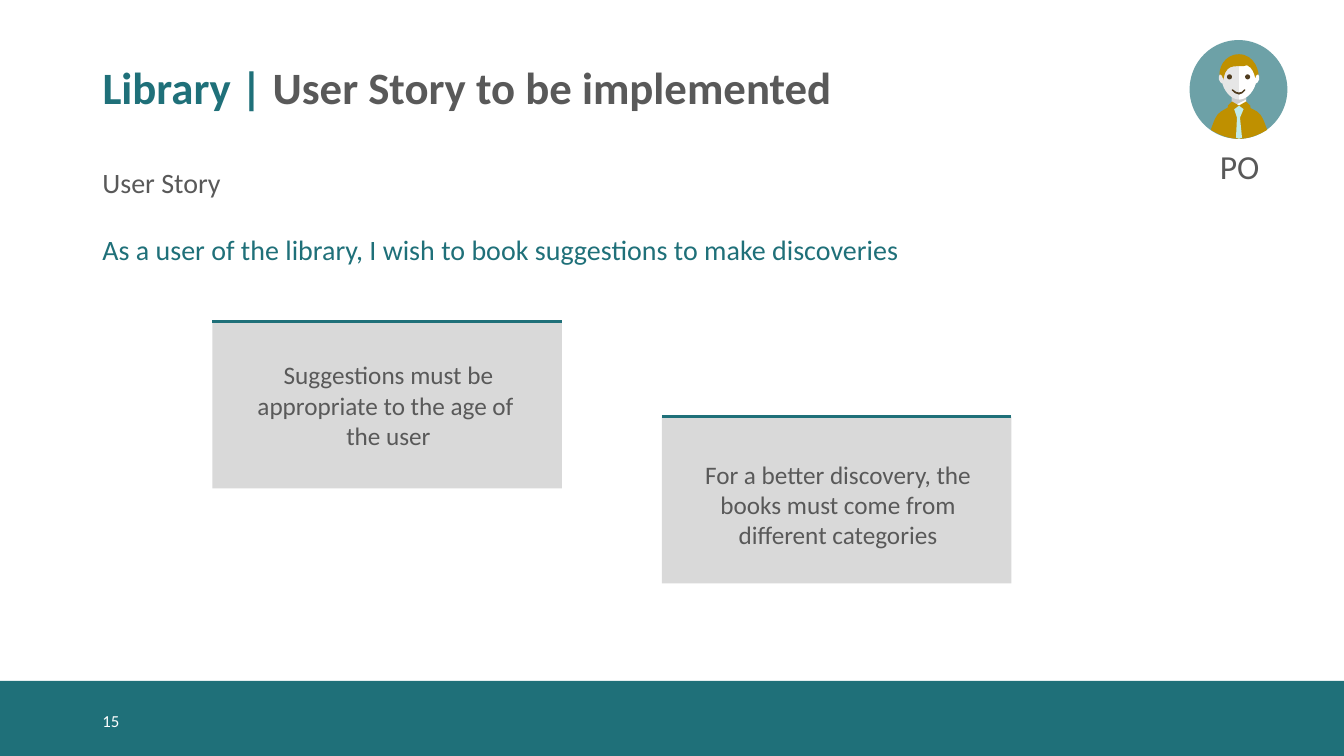
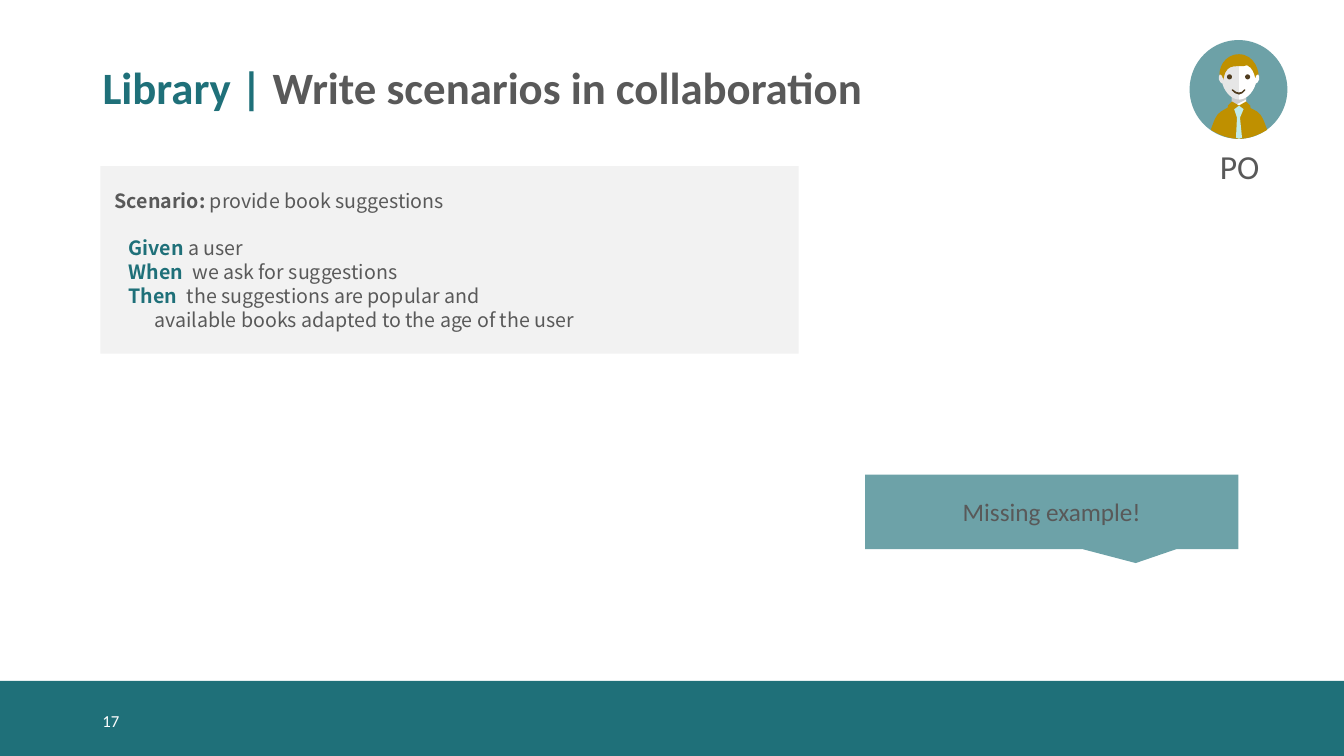
import pptx
import pptx.dml.color
import pptx.enum.shapes
import pptx.enum.text
import pptx.oxml
import pptx.oxml.ns
import pptx.util

Cm, Pt, qn = pptx.util.Cm, pptx.util.Pt, pptx.oxml.ns.qn
Kind = pptx.enum.shapes.MSO_SHAPE
Align = pptx.enum.text.PP_ALIGN
Anchor = pptx.enum.text.MSO_ANCHOR


class Theme:
    font, code = "Calibri", "Noto Sans CJK SC"
    teal, mist, grey = "1F7079", "6DA2A8", "595959"
    card, pale, white = "D9D9D9", "F2F2F2", "FFFFFF"
    gold, brown, sky = "BF9000", "503D20", "BFEBEA"
    shade, skin = "CCCCCC", "E6E6E6"
    head, label, lead, body, step, small = 32, 24, 20, 18, 14, 12


def block(shapes, kind, box, fill=None):
    """Add a flat preset shape, or a text box when kind is None; box is in cm."""
    spot = [Cm(num) for num in box]
    if kind is None:
        shape = shapes.add_textbox(*spot)
    else:
        shape = shapes.add_shape(kind, *spot)
        shape.shadow.inherit = False
        shape.fill.solid()
        shape.fill.fore_color.rgb = pptx.dml.color.RGBColor.from_string(fill)
        shape.line.fill.background()
    shape.text_frame.word_wrap = True
    shape.text_frame.vertical_anchor = Anchor.MIDDLE
    return shape


def write(para, text, size, color=Theme.grey, bold=False, font=Theme.font):
    run = para.add_run()
    run.text = text
    run.font.name, run.font.size, run.font.bold = font, Pt(size), bold
    run.font.color.rgb = pptx.dml.color.RGBColor.from_string(color)
    return run


deck = pptx.Presentation()
deck.slide_width, deck.slide_height = Cm(33.87), Cm(19.05)
layout = deck.slide_layouts[5]

# Portrait outlines, in hundredths of an inch from the disc's corner:
# pairs are line ends, sixes are Bézier curves.
suit = [(31, 71), (26, 74, 24, 81, 21, 89), (29, 94, 39, 98, 49, 98),
        (59, 98, 69, 94, 77, 89), (74, 81, 72, 74, 67, 71),
        (59, 66, 54, 65, 49, 65), (44, 64, 39, 66, 31, 71)]
neck = [(42, 44), (56, 44, 56, 44, 56, 44), (56, 64, 56, 64, 56, 64),
        (56, 71, 42, 72, 42, 64), (42, 44)]
chin = [(56, 59), (56, 56), (42, 56), (42, 66), (56, 59)]
half = [(49, 21), (78, 21, 66, 59, 49, 59)]
face = half + [(32, 59, 20, 21, 49, 21)]
hair = [(57, 25), (62, 27, 64, 33, 65, 37), (66, 43, 65, 42, 68, 38),
        (70, 33, 65, 14, 49, 14), (34, 14, 28, 29, 30, 37),
        (32, 45, 32, 43, 34, 37), (37, 21, 49, 28, 57, 25)]
ear = [(68, 34), (69, 34, 69, 37, 69, 39), (68, 41, 67, 43, 66, 43),
       (65, 43, 64, 41, 65, 38), (65, 36, 67, 34, 68, 34)]
tie = [(47, 77), (46, 97, 46, 97, 46, 97), (47, 98, 48, 98, 49, 98),
       (50, 98, 51, 98, 52, 97), (50, 77, 50, 77, 50, 77),
       (55, 65, 55, 65, 55, 65), (51, 65, 47, 65, 43, 65), (47, 77)]
flap = [(56, 61), (60, 65), (61, 74), (49, 65), (56, 61)]
mouth = [(42, 50), (44, 52, 46, 54, 49, 54), (51, 54, 54, 52, 55, 50),
         (55, 50, 56, 49, 55, 49), (55, 49, 54, 49, 54, 49),
         (53, 51, 51, 52, 49, 52), (47, 52, 45, 51, 43, 49),
         (43, 49, 43, 49, 42, 49), (42, 49, 42, 50, 42, 50)]
# Each part: outline, fill, mirrored about the middle of the face
parts = [(neck, Theme.white, False), (chin, Theme.shade, False),
         (face, Theme.skin, False), (half, Theme.white, False),
         (hair, Theme.gold, False), (ear, Theme.white, False),
         (ear, Theme.skin, True), (tie, Theme.sky, False),
         (flap, Theme.gold, True), (flap, Theme.gold, False),
         (mouth, Theme.brown, False)]
left, top, unit = 29.98, 1.01, 0.0254

slides = []
for number, name in [("15", "User Story to be implemented"),
                     ("17", "Write scenarios in collaboration")]:
    slide = deck.slides.add_slide(layout)
    if not slides:
        band = block(slide.shapes, Kind.RECTANGLE, (0, 17.16, 33.87, 1.89), Theme.teal)
        layout.shapes.element.append(band.element)
    slides.append(slide)

    title = slide.shapes.title
    title.left, title.top, title.width, title.height = Cm(2.33), Cm(1), Cm(29.21), Cm(2.52)
    title.text_frame.vertical_anchor = Anchor.MIDDLE
    para = title.text_frame.paragraphs[0]
    para.alignment, para.line_spacing = Align.LEFT, 0.9
    write(para, "Library | ", Theme.head, Theme.teal, True)
    write(para, name, Theme.head, bold=True)

    foot = block(slide.shapes, None, (2.33, 17.66, 3.48, 1.02))
    write(foot.text_frame.paragraphs[0], number, Theme.small, Theme.white)

    group = slide.shapes.add_group_shape()
    disc = block(group.shapes, Kind.OVAL, (left, top, 97 * unit, 98 * unit), Theme.teal)
    tint = next(disc.element.spPr.iter(qn("a:srgbClr")))
    tint.append(tint.makeelement(qn("a:alpha"), {"val": "65000"}))
    for outline, fill, flip in [(suit, Theme.gold, False)] + parts:
        spots = [(Cm(left + unit * (98 - x if flip else x)), Cm(top + unit * y))
                 for seg in outline for x, y in zip(seg[::2], seg[1::2])]
        pen = group.shapes.build_freeform(*spots[0])
        pen.add_line_segments(spots[1:], close=True)
        part = pen.convert_to_shape()
        # Join the three lines of each six into one curve
        lines = iter(list(part.element.iter(qn("a:lnTo"))))
        for seg in outline[1:]:
            line = next(lines)
            if len(seg) == 6:
                line.tag = qn("a:cubicBezTo")
                for extra in (next(lines), next(lines)):
                    line.append(extra[0])
                    extra.getparent().remove(extra)
        part.shadow.inherit = False
        part.fill.solid()
        part.fill.fore_color.rgb = pptx.dml.color.RGBColor.from_string(fill)
        part.line.fill.background()
        if outline is suit:
            block(group.shapes, Kind.RECTANGLE,
                  (left + 40 * unit, top + 65 * unit, 20 * unit, 22 * unit), Theme.gold)
    for x in (37, 55):
        block(group.shapes, Kind.OVAL,
              (left + x * unit, top + 34 * unit, 5 * unit, 5 * unit), Theme.brown)

    role = block(slide.shapes, None, (30.01, 3.55, 2.46, 1.27))
    para = role.text_frame.paragraphs[0]
    para.alignment = Align.CENTER
    write(para, "PO", Theme.label)

story, scene = slides

# User story and its two rules
intro = block(story.shapes, None, (2.33, 4.02, 20.96, 2.82)).text_frame
write(intro.paragraphs[0], "User Story", Theme.lead)
para = intro.add_paragraph()
para.space_before = Pt(24)
write(para, "As a user of the library, I wish to book suggestions to make discoveries",
      Theme.lead, Theme.teal)

wide, high = 8.81, 4.2
for x, y, drop, lines in [
        (5.35, 8.11, 0, ["Suggestions must be appropriate to the age of ", "the user"]),
        (16.68, 10.5, 0.23,
         ["For a better discovery, the books must come from different categories"])]:
    card = block(story.shapes, Kind.RECTANGLE, (x, y, wide, high), Theme.card)
    rule = story.shapes.add_connector(pptx.enum.shapes.MSO_CONNECTOR.STRAIGHT,
                                      Cm(x), Cm(y), Cm(x + wide), Cm(y))
    rule.line.width = Pt(2)
    rule.line.color.rgb = pptx.dml.color.RGBColor.from_string(Theme.teal)
    rule.element.spPr.append(pptx.oxml.parse_xml(
        '<a:effectLst xmlns:a="http://schemas.openxmlformats.org/drawingml/2006/main"/>'))
    frame = block(story.shapes, None, (x + 0.25, y + drop, 8.33, high - drop)).text_frame
    frame.margin_left = Cm(0.05)
    frame.margin_top = frame.margin_right = frame.margin_bottom = 0
    for index, line in enumerate(lines):
        para = frame.add_paragraph() if index else frame.paragraphs[0]
        para.alignment = Align.CENTER
        write(para, line, Theme.body)

# Scenario panel: indent in cm, space before and gap after the keyword in points
panel = block(scene.shapes, Kind.RECTANGLE, (2.53, 4.19, 17.6, 4.72), Theme.pale).text_frame
panel.margin_left = Cm(0.36)
for index, (indent, above, key, color, gap, text) in enumerate([
        (0, 0, "Scenario:", Theme.grey, 0, "provide book suggestions"),
        (0.35, 17, "Given", Theme.teal, 0, "a user"),
        (0.35, 0, "When", Theme.teal, 3.5, "we ask for suggestions"),
        (0.35, 0, "Then", Theme.teal, 3.5, "the suggestions are popular and"),
        (1, 0, "", Theme.teal, 0, "available books adapted to the age of the user")]):
    para = panel.add_paragraph() if index else panel.paragraphs[0]
    para.alignment, para.line_spacing = Align.LEFT, Pt(17)
    if above:
        para.space_before = Pt(above)
    props = para._p.get_or_add_pPr()
    props.set("marL", str(Cm(indent)))
    props.set("indent", "0")
    if key:
        write(para, key, Theme.step, color, True, Theme.code)
        space = write(para, " ", Theme.step, font=Theme.code)
        if gap:
            space.font._element.set("spc", str(int(gap * 100)))
    write(para, text, Theme.step, font=Theme.code)

note = block(scene.shapes, Kind.RECTANGULAR_CALLOUT, (21.8, 11.96, 9.41, 1.88), Theme.mist)
note.adjustments[0], note.adjustments[1] = 0.225, 0.686
para = note.text_frame.paragraphs[0]
para.alignment = Align.CENTER
write(para, "Missing example!", Theme.body)

deck.save("out.pptx")
